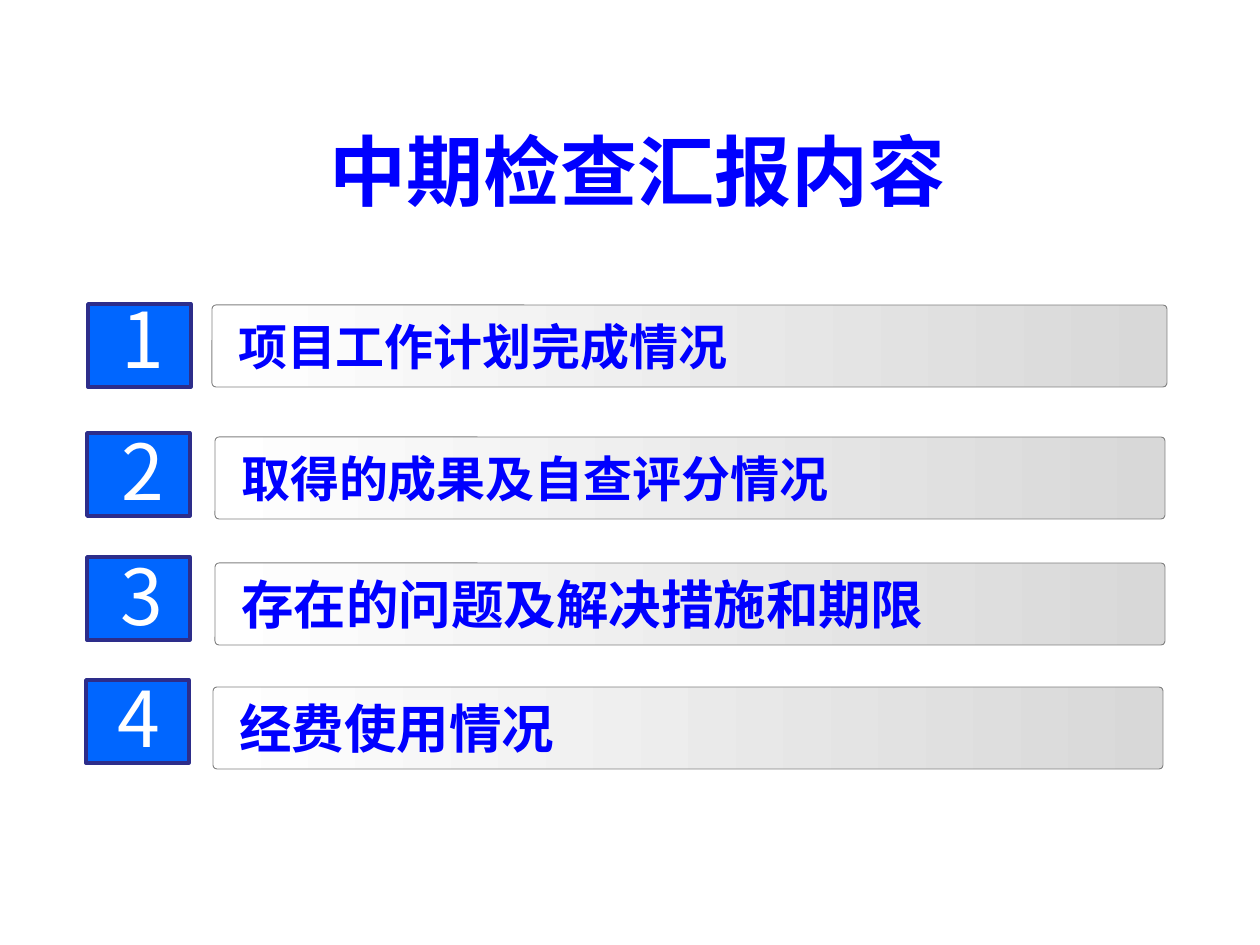
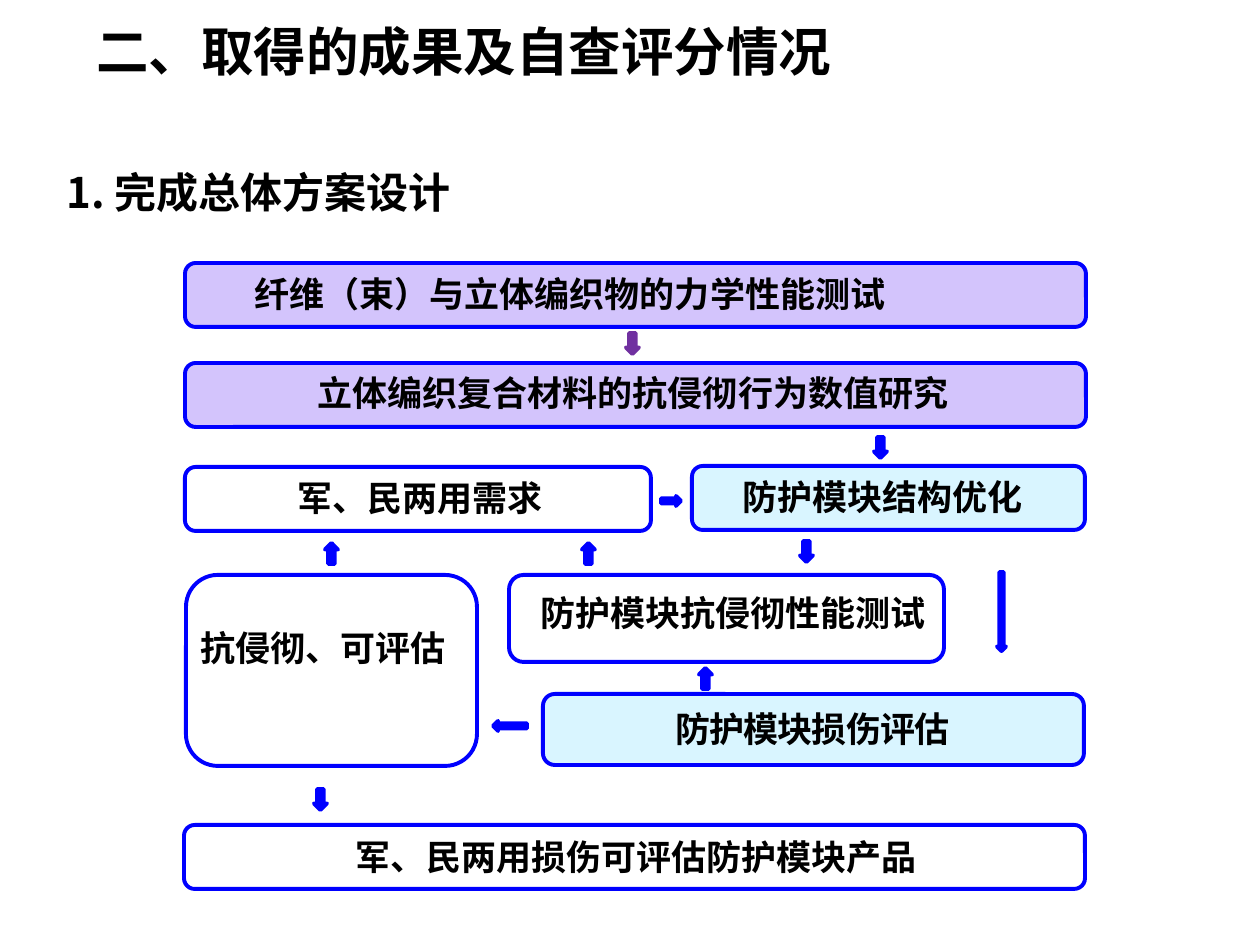
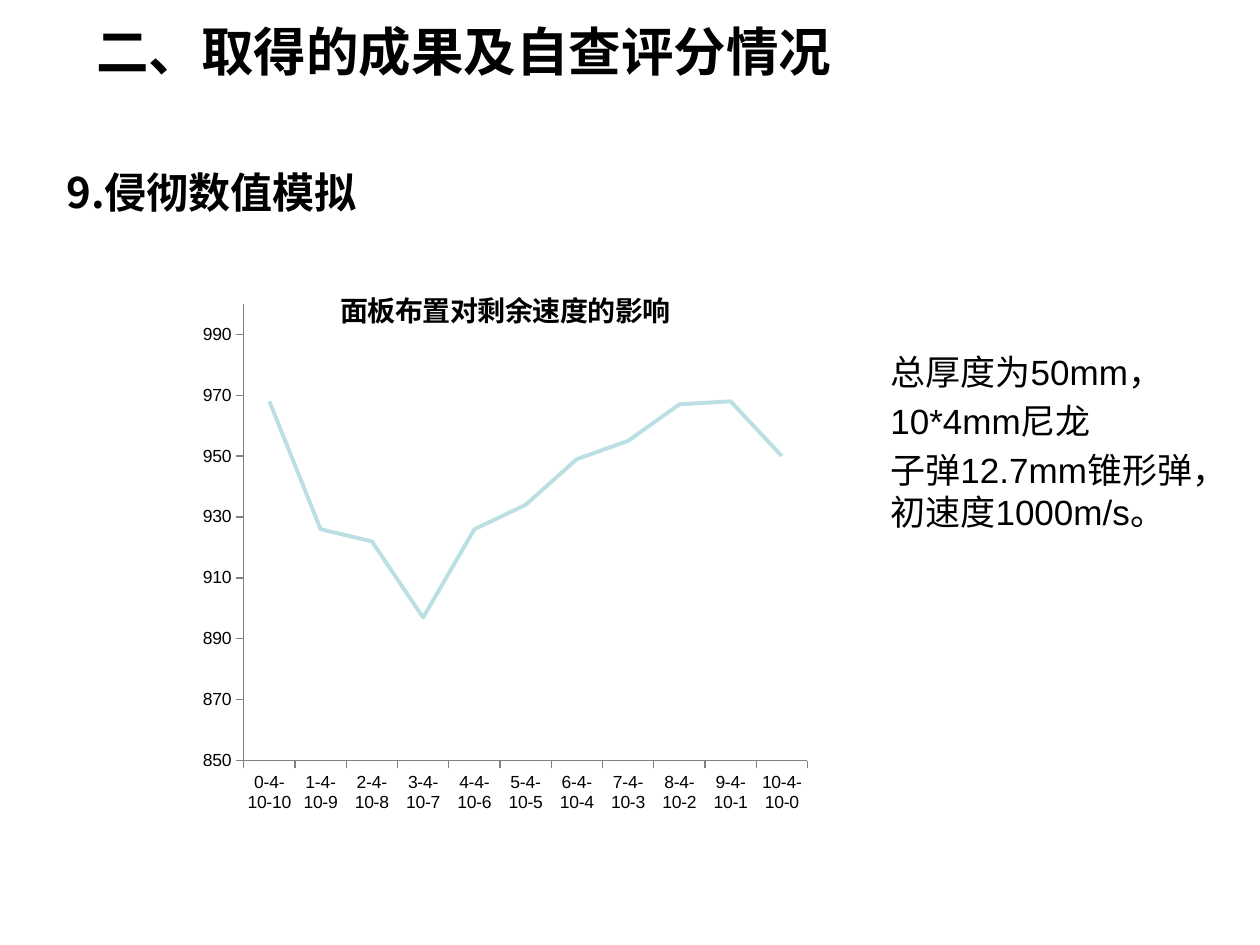
from pptx import Presentation
from pptx.chart.data import CategoryChartData
from pptx.dml.color import RGBColor
from pptx.enum.chart import XL_CHART_TYPE, XL_MARKER_STYLE, XL_TICK_MARK
from pptx.enum.shapes import MSO_SHAPE as Shape
from pptx.enum.text import MSO_ANCHOR as Anchor, MSO_AUTO_SIZE as AutoSize, PP_ALIGN as Align
from pptx.oxml.xmlchemy import OxmlElement
from pptx.util import Emu, Pt

PX = 914400 / 126
HAN, LATIN = "Noto Sans CJK SC", "Arial"
COLORS = {
    "black": "000000", "white": "FFFFFF", "blue": "0000FF", "tile": "0066FF",
    "tile_edge": "2D2D8A", "bar_end": "D8D8D8", "bar_edge": "808080",
    "lilac": "D3C4FC", "ice": "D9F5FF", "purple": "7030A0", "curve": "BBE0E3",
}

# ---- Content ----
AGENDA_TITLE = "中期检查汇报内容"
# text, size, tile left/top, number left/top, bar left/top/width
AGENDA = [
    ("项目工作计划完成情况", 28, (88, 304), (88, 285), (212, 305, 955)),
    ("取得的成果及自查评分情况", 28, (87, 433), (88, 417), (215, 437, 950)),
    ("存在的问题及解决措施和期限", 30, (87, 557), (87, 542), (215, 563, 950)),
    ("经费使用情况", 30, (86, 680), (84, 664), (213, 687, 950)),
]

SECTION = "二、取得的成果及自查评分情况"
DESIGN_HEADING = "1. 完成总体方案设计"
# text, fill, box, label left/top/width, alignment, letter spacing
STEPS = [
    ("纤维（束）与立体编织物的力学性能测试", "lilac", (185, 263, 901, 64), (242, 266, 704), Align.LEFT, 0),
    ("立体编织复合材料的抗侵彻行为数值研究", "lilac", (185, 363, 901, 64), (189, 365, 888), Align.CENTER, 0),
    ("军、民两用需求", None, (185, 467, 466, 64), (189, 470, 462), Align.CENTER, 0),
    ("防护模块结构优化", "ice", (692, 466, 393, 64), (706, 469, 353), Align.CENTER, 0),
    ("抗侵彻、可评估", None, (186, 575, 291, 191), (188, 620, 275), Align.LEFT, 0),
    ("防护模块抗侵彻性能测试", None, (509, 575, 435, 87), (519, 585, 428), Align.CENTER, 0),
    ("防护模块损伤评估", "ice", (543, 694, 541, 71), (541, 701, 543), Align.CENTER, -60),
    ("军、民两用损伤可评估防护模块产品", None, (184, 825, 901, 64), (338, 829, 597), Align.CENTER, 0),
]
SHORT = (13, 21)
ARROWS = [
    (Shape.DOWN_ARROW, "purple", (626, 333), SHORT),
    (Shape.DOWN_ARROW, "blue", (874, 437), SHORT),
    (Shape.DOWN_ARROW, "blue", (800, 541), SHORT),
    (Shape.DOWN_ARROW, "blue", (314, 789), SHORT),
    (Shape.DOWN_ARROW, "blue", (997, 572), (9, 79)),
    (Shape.UP_ARROW, "blue", (325, 543), SHORT),
    (Shape.UP_ARROW, "blue", (582, 543), SHORT),
    (Shape.UP_ARROW, "blue", (699, 668), SHORT),
    (Shape.RIGHT_ARROW, "blue", (661, 496), (20, 10)),
    (Shape.LEFT_ARROW, "blue", (493, 721), (34, 10)),
]

SIMULATION_HEADING = "9.侵彻数值模拟"
SPEED_TITLE = "面板布置对剩余速度的影响"
SPEEDS = [968, 926, 922, 897, 926, 934, 949, 955, 967, 968, 950]
LAYUPS = [f"{front}-4-10-{10 - front}" for front in range(11)]
CONDITIONS = ["总厚度为50mm，", "10*4mm尼龙", "子弹12.7mm锥形弹，初速度1000m/s。"]


# ---- Helpers ----
def px(*lengths):
    return [Emu(round(length * PX)) for length in lengths]


def rgb(name):
    return RGBColor.from_string(COLORS[name])


def style(font, size, color="black", bold=False, latin=HAN):
    font.size, font.bold, font.name = Pt(size), bold, latin
    font.color.rgb = rgb(color)


def write(frame, lines, size, color="black", bold=True, latin=HAN, align=Align.LEFT,
          anchor=Anchor.TOP, spacing=0):
    frame.word_wrap = True
    frame.vertical_anchor = anchor
    frame.text = "\n".join(lines)
    for paragraph in frame.paragraphs:
        paragraph.alignment = align
        for run in paragraph.runs:
            style(run.font, size, color, bold, latin)
            east_asian = OxmlElement("a:ea")
            east_asian.set("typeface", HAN)
            properties = run.font._element
            properties.find("{*}latin").addnext(east_asian)
            if spacing:
                properties.set("spc", str(spacing))


def add_text(slide, box, lines, size, grow=True, **look):
    frame = slide.shapes.add_textbox(*px(*box)).text_frame
    write(frame, lines, size, **look)
    frame.auto_size = AutoSize.SHAPE_TO_FIT_TEXT if grow else AutoSize.NONE
    return frame


def add_block(slide, kind, box, fill, edge, width):
    block = slide.shapes.add_shape(kind, *px(*box))
    block.shadow.inherit = False
    if fill:
        block.fill.solid()
        block.fill.fore_color.rgb = rgb(fill)
    else:
        block.fill.background()
    block.line.color.rgb = rgb(edge)
    block.line.width = Pt(width)
    return block


def manual_layout(**parts):
    layout = OxmlElement("c:layout")
    manual = OxmlElement("c:manualLayout")
    layout.append(manual)
    for tag, value in parts.items():
        part = OxmlElement(f"c:{tag}")
        part.set("val", str(value))
        manual.append(part)
    return layout


def add_section_slide(deck, heading):
    slide = deck.slides.add_slide(deck.slide_layouts[6])
    add_text(slide, (84, 6, 1201, 89), [SECTION], 30, grow=False, anchor=Anchor.MIDDLE)
    frame = add_text(slide, (54, 135, 1162, 77), [heading], 24, align=Align.JUSTIFY)
    frame.paragraphs[0].line_spacing = 1.5
    return slide


# ---- Slides ----
def build_agenda(deck):
    slide = deck.slides.add_slide(deck.slide_layouts[6])
    add_text(slide, (238, 105, 799, 130), [AGENDA_TITLE], 44, grow=False, color="blue",
             align=Align.CENTER, anchor=Anchor.MIDDLE)
    for number, (topic, size, tile, digit, (left, top, width)) in enumerate(AGENDA, 1):
        add_block(slide, Shape.RECTANGLE, (*tile, 103, 83), "tile", "tile_edge", 2)
        add_text(slide, (*digit, 110, 106), [str(number)], 44, color="white", bold=False,
                 align=Align.CENTER)
        bar = add_block(slide, Shape.ROUNDED_RECTANGLE, (left, top, width, 82),
                        "white", "bar_edge", 0.5)
        bar.adjustments[0] = 0.05
        bar.fill.gradient()
        bar.fill.gradient_angle = 0
        for stop, position, color in zip(bar.fill.gradient_stops, (0, 1), ("white", "bar_end")):
            stop.position = position
            stop.color.rgb = rgb(color)
        write(bar.text_frame, [topic], size, color="blue", anchor=Anchor.MIDDLE)
        bar.text_frame.margin_left = px(25)[0]


def build_design(deck):
    slide = add_section_slide(deck, DESIGN_HEADING)
    for step, fill, box, label, align, spacing in STEPS:
        add_block(slide, Shape.ROUNDED_RECTANGLE, box, fill, "blue", 2.25)
        add_text(slide, (*label, 55), [step], 20, align=align, spacing=spacing)
    for kind, color, place, size in ARROWS:
        add_block(slide, kind, (*place, *size), color, color, 2.25)


def build_simulation(deck):
    slide = add_section_slide(deck, SIMULATION_HEADING)

    # Residual speed by panel layup
    speed_data = CategoryChartData()
    speed_data.categories = LAYUPS
    speed_data.add_series("Series 1", SPEEDS)
    chart = slide.shapes.add_chart(XL_CHART_TYPE.LINE, *px(105, 251, 793, 615),
                                   speed_data).chart
    style(chart.font, 10, latin=LATIN)
    chart.has_legend = False
    title_frame = chart.chart_title.text_frame
    write(title_frame, [SPEED_TITLE], 16)
    title = chart.chart_title._element
    for old in title.findall("{*}layout"):
        title.remove(old)
    title.find("{*}tx").addnext(manual_layout(xMode="edge", yMode="edge", x=0.29, y=0.05))
    plot_area = chart._chartSpace.chart.plotArea
    for old in plot_area.findall("{*}layout"):
        plot_area.remove(old)
    plot_area.insert(0, manual_layout(layoutTarget="inner", xMode="edge", yMode="edge",
                                      x=0.175, y=0.086, w=0.711, h=0.743))

    for axis in (chart.category_axis, chart.value_axis):
        axis.has_major_gridlines = False
        axis.major_tick_mark = XL_TICK_MARK.OUTSIDE
        axis.minor_tick_mark = XL_TICK_MARK.NONE
        axis.format.line.color.rgb = rgb("bar_edge")
        axis.format.line.width = Pt(0.75)
    speed_axis = chart.value_axis
    speed_axis.minimum_scale, speed_axis.maximum_scale = 850, 1000
    speed_axis.major_unit = 20

    chart.plots[0].vary_by_categories = False
    curve = chart.plots[0].series[0]
    curve.smooth = False
    curve.marker.style = XL_MARKER_STYLE.NONE
    curve.format.line.color.rgb = rgb("curve")
    curve.format.line.width = Pt(2.25)

    # Test conditions
    frame = add_text(slide, (878, 344, 363, 199), CONDITIONS, 20, bold=False, latin=LATIN)
    for paragraph in frame.paragraphs[1:]:
        paragraph.space_before = Pt(4)


def main():
    deck = Presentation()
    deck.slide_width, deck.slide_height = px(1260, 945)
    build_agenda(deck)
    build_design(deck)
    build_simulation(deck)
    deck.save("out.pptx")


if __name__ == "__main__":
    main()
